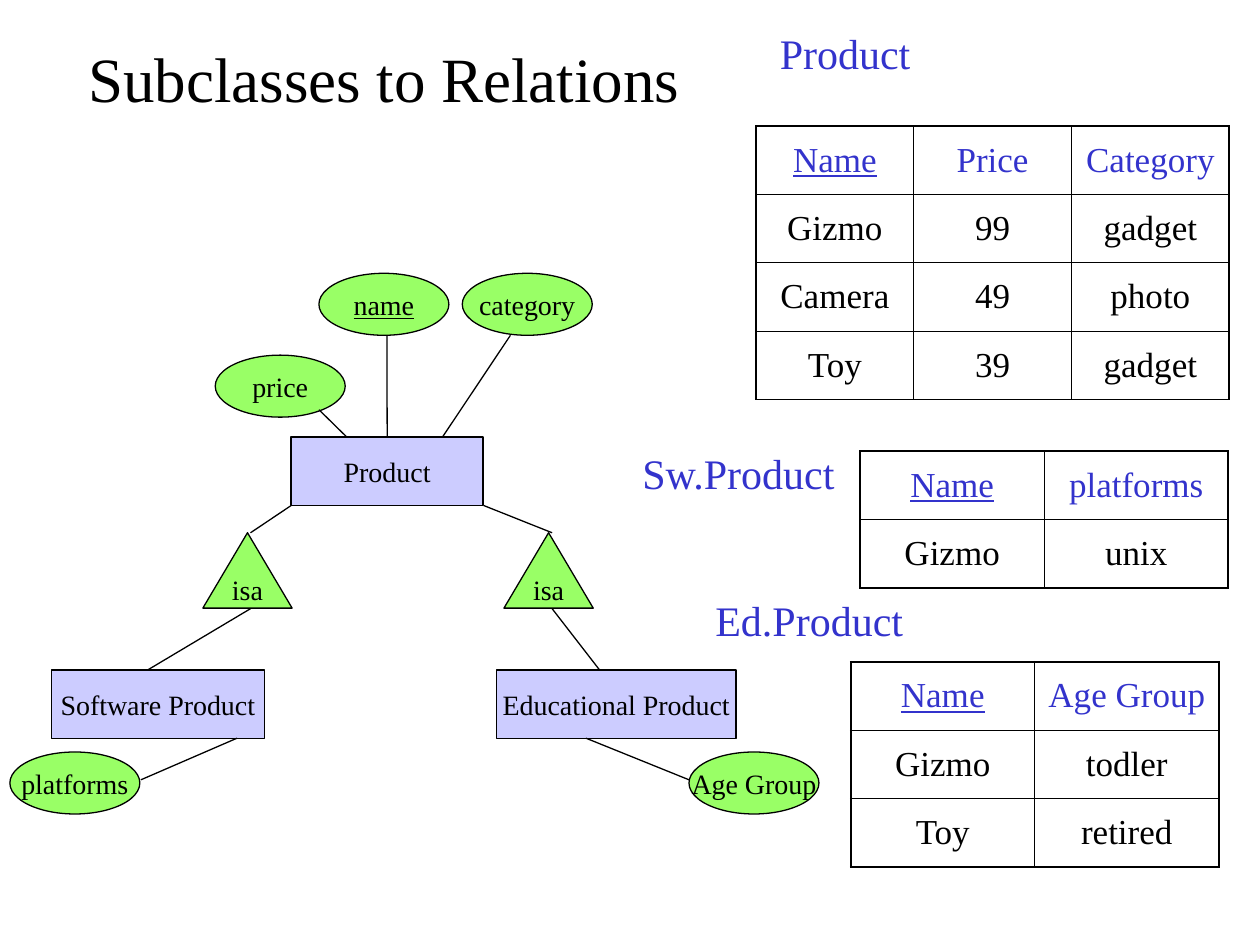
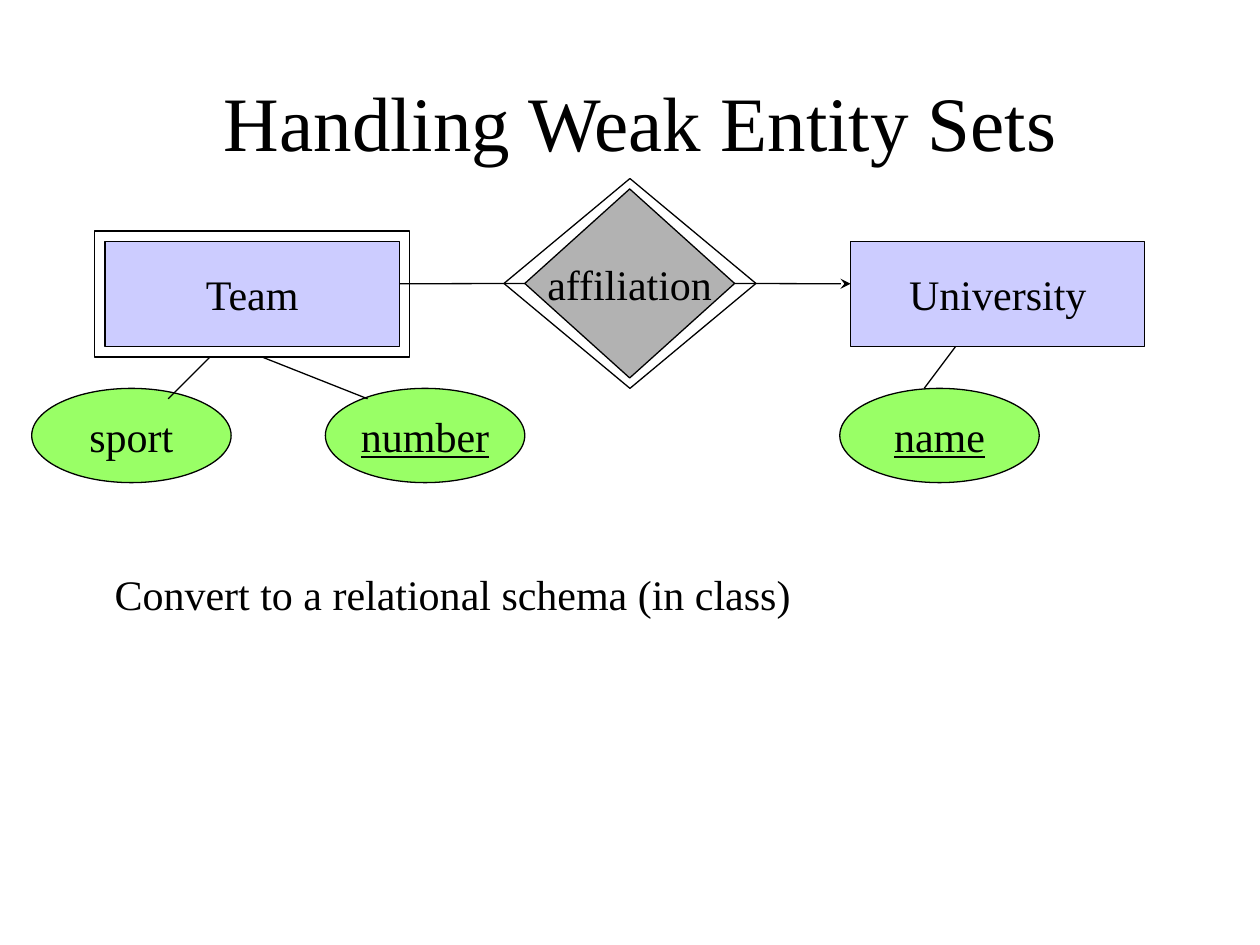
from lxml.etree import SubElement
from pptx import Presentation
from pptx.dml.color import RGBColor
from pptx.enum.shapes import MSO_CONNECTOR, MSO_SHAPE
from pptx.enum.text import MSO_ANCHOR, MSO_AUTO_SIZE, PP_ALIGN
from pptx.oxml.ns import qn
from pptx.util import Cm, Pt

BLACK, WHITE, BLUE = "000000", "FFFFFF", "3333CC"
LILAC, GREEN, GREY = "CCCCFF", "99FF66", "B2B2B2"


def rgb(color):
    return RGBColor.from_string(color)


def set_attrs(obj, values):
    for name, value in values.items():
        setattr(obj, name, value)


class Deck:
    font = "Times New Roman"
    line_width = 0.75
    outer_border, inner_border = 1.08, 0.45
    row_height = 1.38

    def __init__(self, prs):
        self.prs = prs
        self.s = None
        self.size = None

    def slide(self, title, box, title_size, label_size):
        self.s = self.prs.slides.add_slide(self.prs.slide_layouts[5])
        self.size = label_size
        sp = self.s.shapes.title
        set_attrs(sp, dict(zip(("left", "top", "width", "height"), map(Cm, box))))
        self.frame(sp.text_frame, title, title_size)

    def frame(self, tf, text, size, color=BLACK, underline=False,
              align=PP_ALIGN.CENTER, anchor=MSO_ANCHOR.MIDDLE, wrap=True):
        set_attrs(tf, {"word_wrap": wrap, "vertical_anchor": anchor,
                       "auto_size": MSO_AUTO_SIZE.NONE})
        self.paragraph(tf.paragraphs[0], text, size, color, underline, align)

    def paragraph(self, p, text, size, color, underline, align=PP_ALIGN.CENTER):
        p.alignment = align
        r = p.add_run()
        r.text = text
        set_attrs(r.font, {"name": self.font, "size": Pt(size),
                           "bold": False, "underline": underline})
        r.font.color.rgb = rgb(color)

    def shape(self, kind, x, y, w, h, fill=None, text="", underline=False):
        sp = self.s.shapes.add_shape(kind, Cm(x), Cm(y), Cm(w), Cm(h))
        sp.shadow.inherit = False
        if fill:
            sp.fill.solid()
            sp.fill.fore_color.rgb = rgb(fill)
        else:
            sp.fill.background()
        self.stroke(sp.line)
        if text:
            self.frame(sp.text_frame, text, self.size, underline=underline, wrap=False)
        return sp

    def stroke(self, line):
        line.color.rgb = rgb(BLACK)
        line.width = Pt(self.line_width)

    def entity(self, text, x, y, w, h):
        return self.shape(MSO_SHAPE.RECTANGLE, x, y, w, h, LILAC, text)

    def attribute(self, text, x, y, w, h, key=False):
        return self.shape(MSO_SHAPE.OVAL, x, y, w, h, GREEN, text, key)

    def line(self, x1, y1, x2, y2, start=None, arrow=False):
        c = self.s.shapes.add_connector(MSO_CONNECTOR.STRAIGHT,
                                        Cm(x1), Cm(y1), Cm(x2), Cm(y2))
        if start:
            c.begin_connect(*start)
        self.stroke(c.line)
        sp_pr = c._element.spPr
        if arrow:
            SubElement(sp_pr.get_or_add_ln(), qn("a:tailEnd"), type="stealth")
        SubElement(sp_pr, qn("a:effectLst"))

    def text(self, text, x, y, w, color=BLACK):
        sp = self.s.shapes.add_textbox(Cm(x), Cm(y), Cm(w), Cm(1.27))
        self.frame(sp.text_frame, text, 24, color, align=PP_ALIGN.LEFT,
                   anchor=MSO_ANCHOR.TOP, wrap=False)

    def border(self, cell, side, width):
        ln = SubElement(cell._tc.get_or_add_tcPr(), qn("a:ln" + side),
                        w=str(int(Pt(width))))
        fill = SubElement(ln, qn("a:solidFill"))
        SubElement(fill, qn("a:srgbClr"), val=BLACK)

    def table(self, rows, x, y, col_width):
        n, m = len(rows), len(rows[0])
        table = self.s.shapes.add_table(n, m, Cm(x), Cm(y), Cm(col_width * m),
                                        Cm(self.row_height * n)).table
        set_attrs(table, {"first_row": False, "horz_banding": False})
        for col in table.columns:
            col.width = Cm(col_width)
        for i, row in enumerate(rows):
            table.rows[i].height = Cm(self.row_height)
            for j, value in enumerate(row):
                cell = table.cell(i, j)
                edges = {"L": j == 0, "R": j == m - 1, "T": i == 0, "B": i == n - 1}
                for side, outer in edges.items():
                    self.border(cell, side,
                                self.outer_border if outer else self.inner_border)
                cell.fill.solid()
                cell.fill.fore_color.rgb = rgb(WHITE)
                cell.vertical_anchor = MSO_ANCHOR.MIDDLE
                self.paragraph(cell.text_frame.paragraphs[0], value, 20,
                               BLACK if i else BLUE, i == j == 0)


def subclasses(deck):
    deck.slide("Subclasses to Relations", (1.07, 0.71, 13.34, 1.7), 36, 16)
    product = deck.entity("Product", 5.87, 8.81, 3.87, 1.38)
    for text, x, w in (("Educational Product", 10.01, 4.83),
                       ("Software Product", 1.04, 4.29)):
        deck.entity(text, x, 13.51, w, 1.38)
    for text, x, y in (("name", 6.43, 5.51), ("category", 9.32, 5.51),
                       ("price", 4.34, 7.16), ("Age Group", 13.89, 15.16),
                       ("platforms", 0.2, 15.16)):
        deck.attribute(text, x, y, 2.62, 1.25, text == "name")
    for x in (4.09, 10.16):
        deck.shape(MSO_SHAPE.ISOSCELES_TRIANGLE, x, 10.74, 1.8, 1.52, GREEN, "isa")

    deck.line(7.8, 8.81, 7.8, 6.76, start=(product, 0))
    for ends in ((6.99, 8.81, 6.43, 8.26), (8.92, 8.81, 10.29, 6.76),
                 (5.87, 10.19, 5.05, 10.74), (9.75, 10.19, 11.13, 10.74),
                 (5.05, 12.27, 2.97, 13.51), (11.13, 12.27, 12.09, 13.51),
                 (4.78, 14.88, 2.84, 15.72), (11.81, 14.88, 13.89, 15.72)):
        deck.line(*ends)

    deck.table([("Name", "Price", "Category"), ("Gizmo", "99", "gadget"),
                ("Camera", "49", "photo"), ("Toy", "39", "gadget")],
               15.24, 2.54, 3.18)
    deck.table([("Name", "platforms"), ("Gizmo", "unix")], 17.34, 9.09, 3.71)
    deck.table([("Name", "Age Group"), ("Gizmo", "todler"), ("Toy", "retired")],
               17.15, 13.34, 3.71)
    for text, x, y, w in (("Product", 15.47, 0.43, 3.12),
                          ("Sw.Product", 12.7, 8.89, 4.42),
                          ("Ed.Product", 14.17, 11.86, 4.29)):
        deck.text(text, x, y, w, BLUE)


def weak_entities(deck):
    deck.slide("Handling Weak Entity Sets", (2.12, 0.85, 21.59, 3.18), 44, 24)
    for text, x in (("University", 17.15), ("Team", 2.12)):
        deck.entity(text, x, 4.87, 5.93, 2.12)
    affiliation = deck.shape(MSO_SHAPE.DIAMOND, 10.58, 3.81, 4.23, 3.81,
                             GREY, "affiliation")
    deck.line(10.58, 5.72, 8.05, 5.72, start=(affiliation, 1))
    deck.line(14.81, 5.72, 17.15, 5.72, start=(affiliation, 3), arrow=True)
    for text, x, key in (("number", 6.56, True), ("sport", 0.64, False),
                         ("name", 16.93, True)):
        deck.attribute(text, x, 7.83, 4.02, 1.9, key)
    deck.shape(MSO_SHAPE.RECTANGLE, 1.9, 4.66, 6.35, 2.54)
    deck.shape(MSO_SHAPE.DIAMOND, 10.16, 3.6, 5.08, 4.23)
    for ends in ((4.23, 7.2, 3.39, 8.04), (5.29, 7.2, 7.41, 8.04),
                 (19.26, 6.99, 18.63, 7.83)):
        deck.line(*ends)
    deck.text("Convert to a relational schema (in class)", 2.06, 11.33, 14.15)


def main():
    prs = Presentation()
    set_attrs(prs, {"slide_width": Cm(25.4), "slide_height": Cm(19.05)})
    deck = Deck(prs)
    subclasses(deck)
    weak_entities(deck)
    prs.save("out.pptx")


if __name__ == "__main__":
    main()
